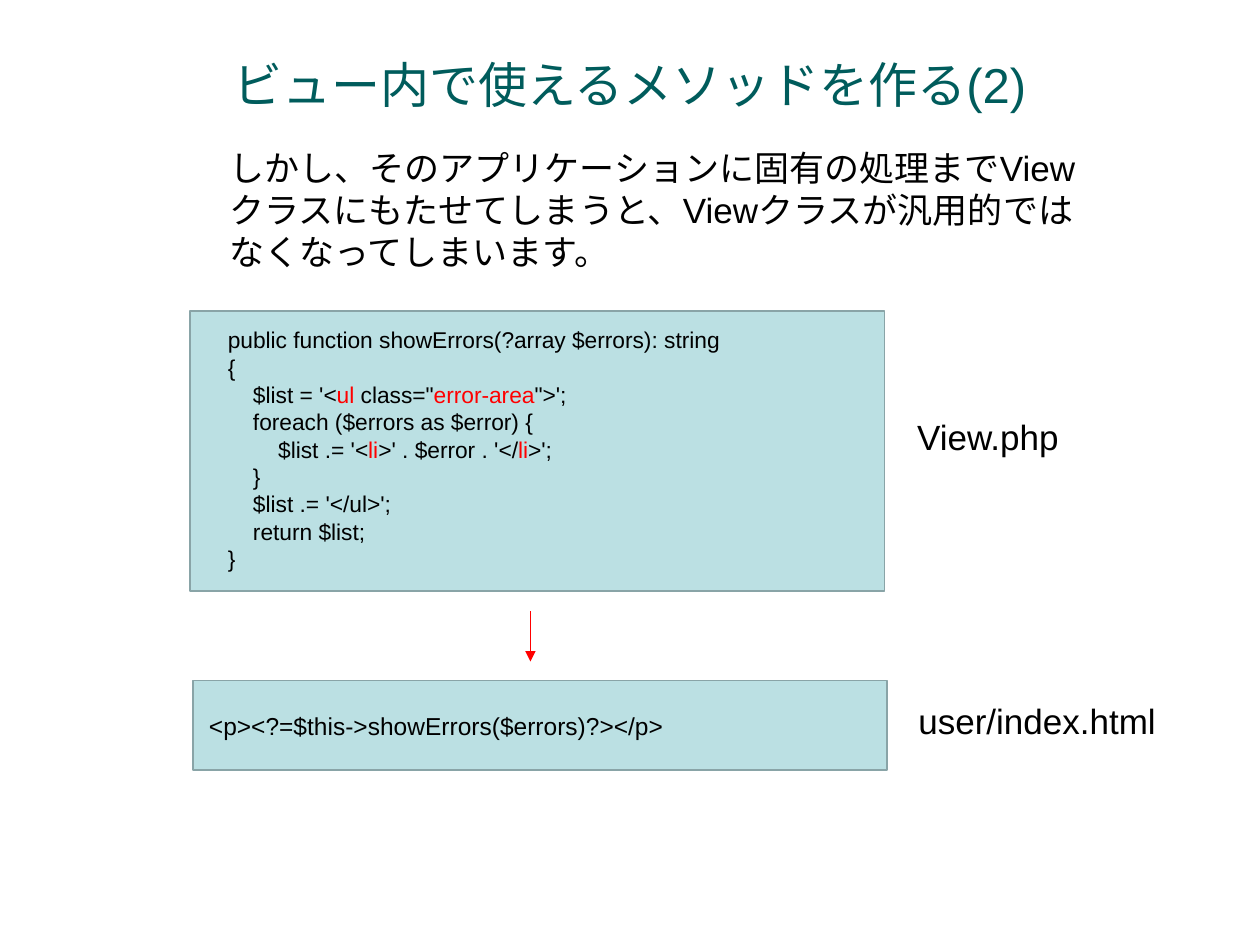
from dataclasses import dataclass

from pptx import Presentation
from pptx import util as u
from pptx.dml.color import RGBColor
from pptx.enum import shapes, text
from pptx.oxml import parse_xml
from pptx.oxml.ns import nsdecls

TEAL = RGBColor(0x00, 0x5C, 0x5C)
BLACK = RGBColor(0x00, 0x00, 0x00)
RED = RGBColor(0xFF, 0x00, 0x00)
PALE_BLUE = RGBColor(0xBB, 0xE0, 0xE3)
GREY_BLUE = RGBColor(0x89, 0xA4, 0xA7)
WHITE = RGBColor(0xFF, 0xFF, 0xFF)

INDENT = 0.2  # inches for each level of code
MARK = "|"  # encloses highlighted words


@dataclass(frozen=True)
class Area:
    left: float
    top: float
    width: float
    height: float

    def lengths(self) -> list:
        return [u.Inches(n) for n in (self.left, self.top, self.width, self.height)]


@dataclass(frozen=True)
class Line:
    words: str
    level: int = 0


@dataclass(frozen=True)
class Caption:
    area: Area
    size: int
    lines: tuple[Line, ...]
    wrap: bool = False


PANELS = (Area(1.51, 2.47, 5.51, 2.22), Area(1.53, 5.4, 5.51, 0.71))

CAPTIONS = (
    Caption(Area(1.72, 1.11, 7.08, 1.1), 20, (
        Line("しかし、そのアプリケーションに固有の処理までViewクラスにもたせてしまうと、"
             "Viewクラスが汎用的ではなくなってしまいます。"),
    ), wrap=True),
    Caption(Area(7.19, 5.5, 2.2, 0.44), 20, (Line("user/index.html"),)),
    Caption(Area(1.56, 5.59, 5.41, 0.34), 14,
            (Line("<p><?=$this->showErrors($errors)?></p>"),), wrap=True),
    Caption(Area(7.18, 3.25, 1.45, 0.44), 20, (Line("View.php"),)),
    Caption(Area(1.51, 2.54, 5.7, 2.06), 13, (
        Line("public function showErrors(?array $errors): string", 1),
        Line("{", 1),
        Line("$list = '<|ul| class=\"|error-area|\">';", 2),
        Line("foreach ($errors as $error) {", 2),
        Line("$list .= '<|li|>' . $error . '</|li|>';", 3),
        Line("}", 2),
        Line("$list .= '</ul>';", 2),
        Line("return $list;", 2),
        Line("}", 1),
    ), wrap=True),
)


def set_format(target, values: dict) -> None:
    for name, value in values.items():
        setattr(target, name, value)


def write_line(paragraph, line: Line, size: int, colour: RGBColor) -> None:
    """Write a line, with every second part between marks in red."""
    if line.level:
        properties = paragraph._p.get_or_add_pPr()
        properties.set("marL", str(u.Inches(INDENT * line.level)))
        properties.set("indent", "0")
    for position, words in enumerate(line.words.split(MARK)):
        run = paragraph.add_run()
        run.text = words
        set_format(run.font, {"name": "Arial", "size": u.Pt(size)})
        run.font.color.rgb = RED if position % 2 else colour


def fill_title(slide) -> None:
    title = slide.shapes.title
    left, top, width, height = Area(0.75, 0.25, 8.5, 0.83).lengths()
    set_format(title, {"left": left, "top": top, "width": width, "height": height})
    title.text_frame.vertical_anchor = text.MSO_ANCHOR.MIDDLE
    heading = title.text_frame.paragraphs[0]
    heading.alignment = text.PP_ALIGN.CENTER
    write_line(heading, Line("ビュー内で使えるメソッドを作る(2)"), 28, TEAL)


def add_panel(slide, area: Area) -> None:
    panel = slide.shapes.add_shape(shapes.MSO_SHAPE.RECTANGLE, *area.lengths())
    panel.shadow.inherit = False
    panel.fill.solid()
    panel.fill.fore_color.rgb = PALE_BLUE
    panel.line.color.rgb = GREY_BLUE
    panel.line.width = u.Pt(1)


def add_caption(slide, caption: Caption) -> None:
    frame = slide.shapes.add_textbox(*caption.area.lengths()).text_frame
    set_format(frame, {
        "word_wrap": caption.wrap,
        "auto_size": text.MSO_AUTO_SIZE.SHAPE_TO_FIT_TEXT,
    })
    for number, line in enumerate(caption.lines):
        paragraph = frame.add_paragraph() if number else frame.paragraphs[0]
        write_line(paragraph, line, caption.size, BLACK)


def add_down_arrow(slide, x: float, top: float, bottom: float) -> None:
    arrow = slide.shapes.add_connector(
        shapes.MSO_CONNECTOR.STRAIGHT,
        u.Inches(x), u.Inches(top), u.Inches(x), u.Inches(bottom))
    arrow.line.color.rgb = RED
    arrow.line.width = u.Pt(0.5)
    arrow.line._get_or_add_ln().append(
        parse_xml(f'<a:tailEnd {nsdecls("a")} type="triangle"/>'))
    arrow._element.spPr.append(parse_xml(f'<a:effectLst {nsdecls("a")}/>'))


def main() -> None:
    deck = Presentation()
    set_format(deck, {"slide_width": u.Inches(10), "slide_height": u.Inches(7.5)})
    slide = deck.slides.add_slide(deck.slide_layouts.get_by_name("Title Only"))
    slide.background.fill.solid()
    slide.background.fill.fore_color.rgb = WHITE
    fill_title(slide)
    for area in PANELS:
        add_panel(slide, area)
    for caption in CAPTIONS:
        add_caption(slide, caption)
    add_down_arrow(slide, 4.21, 4.85, 5.25)
    deck.save("out.pptx")


if __name__ == "__main__":
    main()
